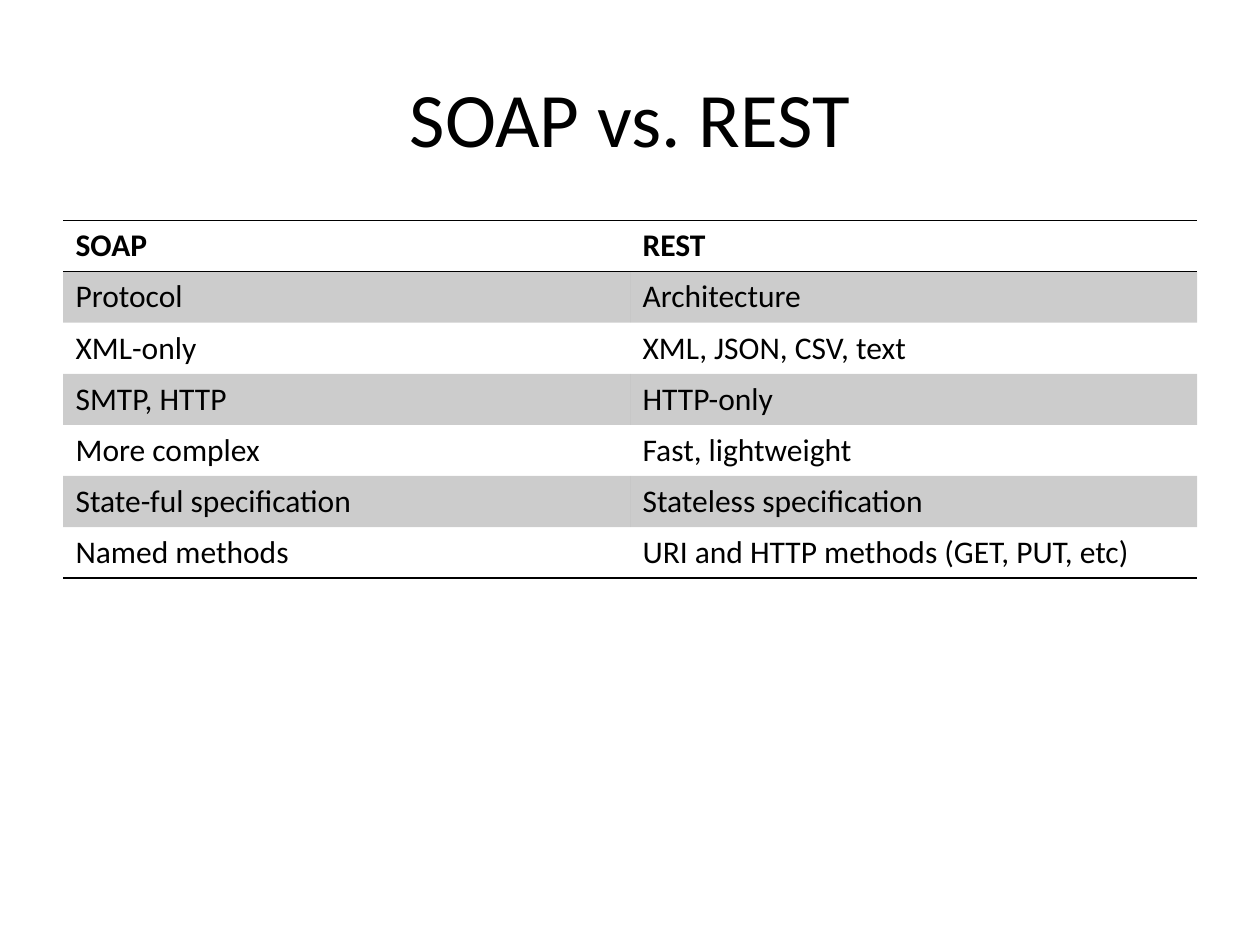
from lxml import etree
from pptx import Presentation
from pptx.dml.color import RGBColor
from pptx.enum.text import MSO_ANCHOR, PP_ALIGN
from pptx.oxml.ns import qn
from pptx.util import Inches, Pt

MIDDLE = MSO_ANCHOR.MIDDLE
CENTER = PP_ALIGN.CENTER

COLORS = {"ink": "000000", "band": "000000"}
FONT = "Calibri"
BAND_OPACITY = 20  # percent
PLAIN_STYLE = "{2D5ABB26-0587-4C30-8999-92F81FD0307C}"  # no style, no grid

WIDTH, HEIGHT = Inches(10), Inches(7.5)
MARGIN = int(WIDTH * 0.05)
CONTENT_WIDTH = WIDTH - 2 * MARGIN
ROW_HEIGHT = Inches(2.84 / 7)

ROWS = [
    ("SOAP", "REST"),
    ("Protocol", "Architecture"),
    ("XML-only", "XML, JSON, CSV, text"),
    ("SMTP, HTTP", "HTTP-only"),
    ("More complex", "Fast, lightweight"),
    ("State-ful specification", "Stateless specification"),
    ("Named methods", "URI and HTTP methods (GET, PUT, etc)"),
]


def write(frame, text, size, bold=False):
    frame.text = text
    para = frame.paragraphs[0]
    for span in para.runs:
        span.font.name = FONT
        span.font.size = Pt(size)
        span.font.bold = bold
        span.font.color.rgb = RGBColor.from_string(COLORS["ink"])
    return para


def add_title(page, text):
    box = page.shapes.add_textbox(MARGIN, int(HEIGHT * 0.04), CONTENT_WIDTH, HEIGHT // 6)
    frame = box.text_frame
    frame.word_wrap = True
    frame.vertical_anchor = MIDDLE
    write(frame, text, 44).alignment = CENTER


def add_rule(cell, tag):
    """Draw one cell border; tag is a:lnT or a:lnB."""
    properties = cell._tc.get_or_add_tcPr()
    line = etree.SubElement(properties, qn(tag), w=str(Pt(1)))
    fill = etree.SubElement(line, qn("a:solidFill"))
    etree.SubElement(fill, qn("a:srgbClr"), val=COLORS["ink"])


def shade(cell):
    cell.fill.solid()
    cell.fill.fore_color.rgb = RGBColor.from_string(COLORS["band"])
    color = cell._tc.tcPr.find(".//" + qn("a:solidFill") + "/" + qn("a:srgbClr"))
    etree.SubElement(color, qn("a:alpha"), val=str(BAND_OPACITY * 1000))


def add_comparison(page, rows):
    count = len(rows)
    table = page.shapes.add_table(
        count, len(rows[0]), MARGIN, Inches(1.75), CONTENT_WIDTH, ROW_HEIGHT * count
    ).table
    table.horz_banding = False
    table._tbl.tblPr.find(qn("a:tableStyleId")).text = PLAIN_STYLE

    for row, texts in enumerate(rows):
        for column, text in enumerate(texts):
            cell = table.cell(row, column)
            write(cell.text_frame, text, 18, bold=row == 0)
            # Rules frame the header and close the table
            if row == 0:
                add_rule(cell, "a:lnT")
            if row in (0, count - 1):
                add_rule(cell, "a:lnB")
            # Every other body row is banded
            if row % 2:
                shade(cell)
            else:
                cell.fill.background()


def main():
    deck = Presentation()
    deck.slide_width, deck.slide_height = WIDTH, HEIGHT
    page = deck.slides.add_slide(deck.slide_layouts[6])
    add_title(page, "SOAP vs. REST")
    add_comparison(page, ROWS)
    deck.save("out.pptx")


if __name__ == "__main__":
    main()
